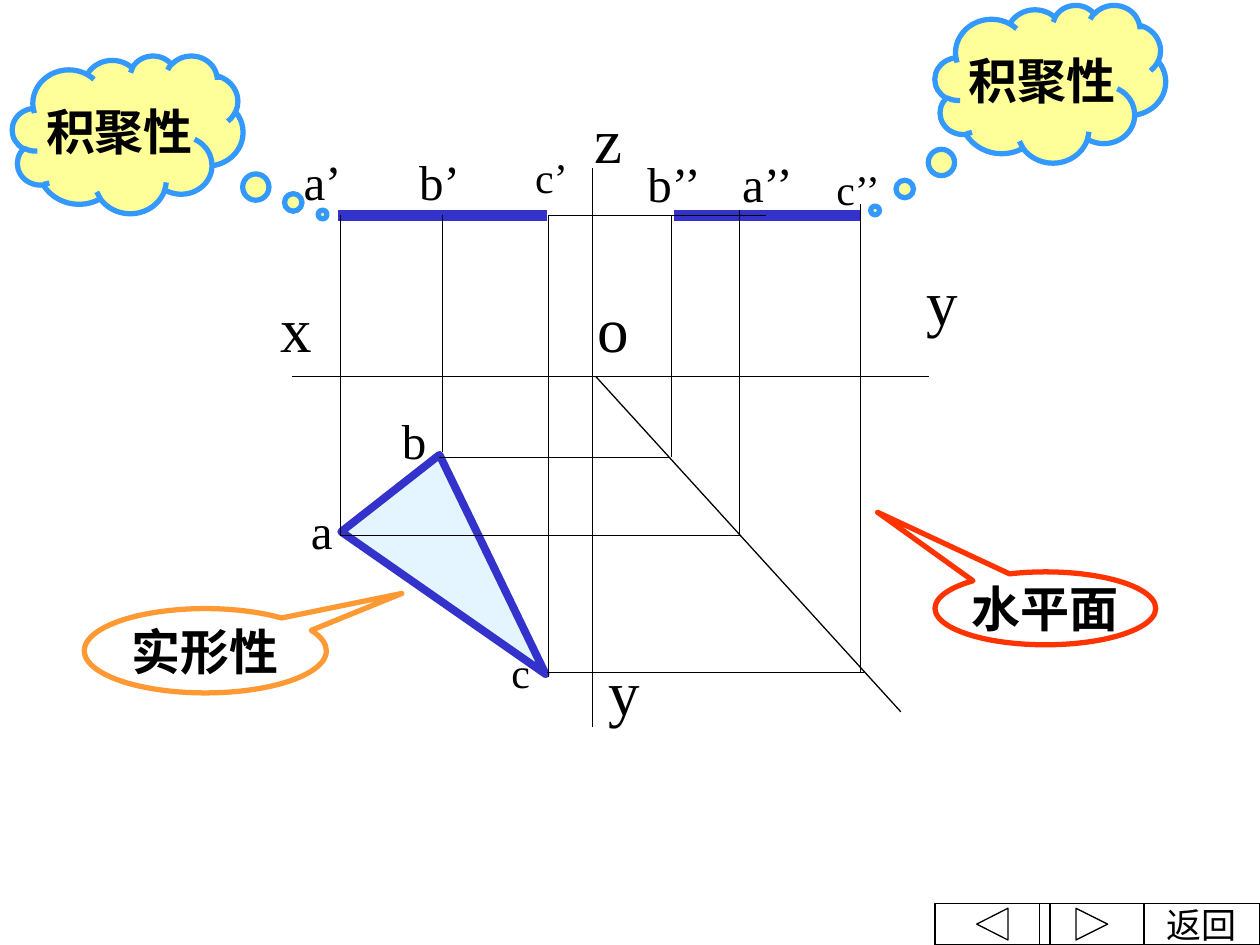
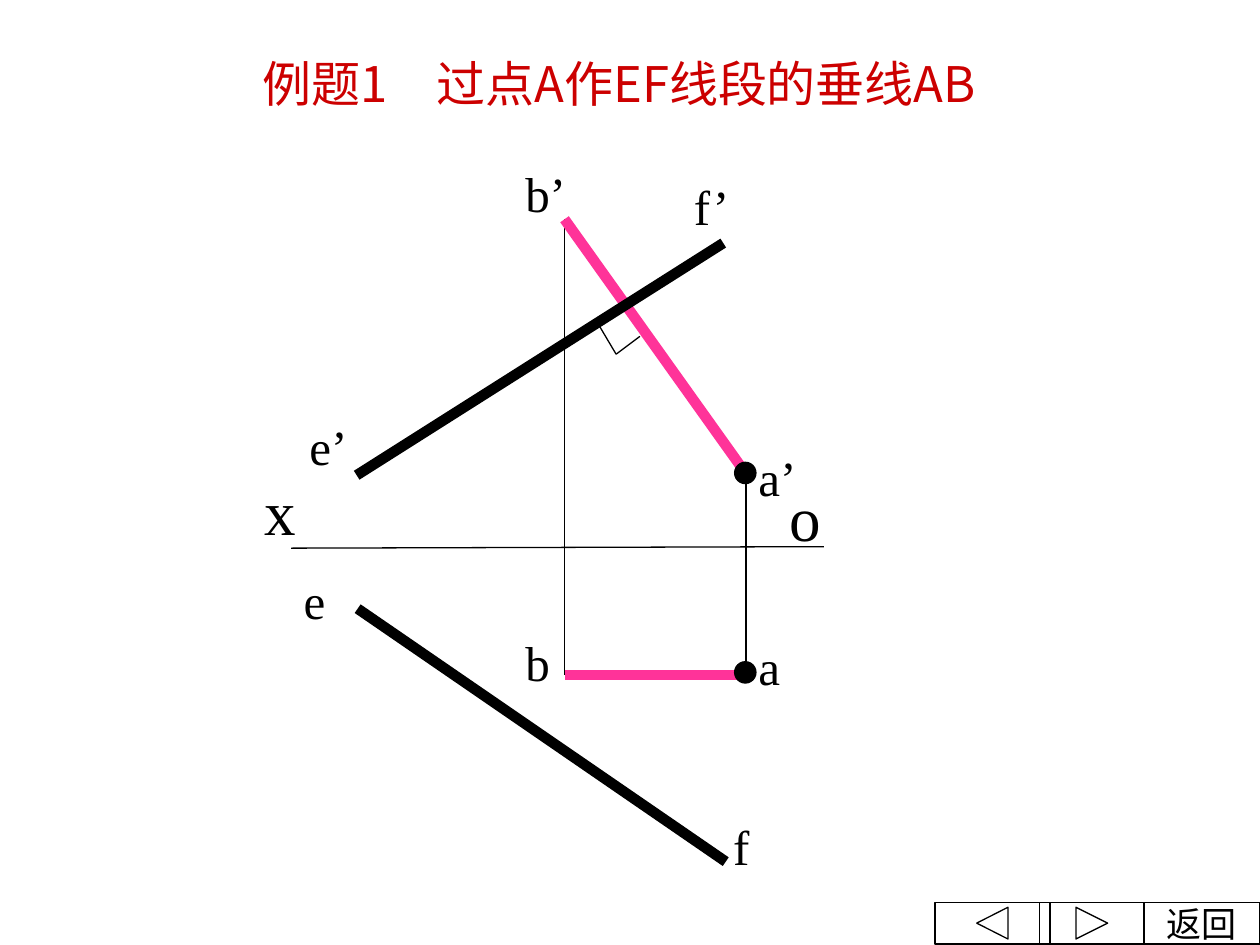
from lxml.etree import SubElement
from pptx import Presentation
from pptx.dml.color import RGBColor
from pptx.enum.shapes import MSO_CONNECTOR, MSO_SHAPE
from pptx.enum.text import MSO_ANCHOR, MSO_AUTO_SIZE, PP_ALIGN
from pptx.oxml.ns import qn
from pptx.util import Cm, Pt

BLACK, WHITE, RED = "000000", "FFFFFF", "CC0000"
BLUE, PALE_BLUE, PINK = "3333CC", "CCECFF", "FF3399"
YELLOW, SKY, ORANGE, SCARLET = "FFFF99", "3399FF", "FF9933", "FF3300"
THIN, CALLOUT, EDGE, THICK = 0.75, 3, 4.5, 6
AXIS, POINT, SMALL = 36, 28, 24
LABEL_HEIGHT = {AXIS: 1.78, POINT: 1.45, SMALL: 1.27}


def color(value):
    return RGBColor.from_string(value)


class Drawing:
    latin = "Times New Roman"
    chinese = "Noto Sans CJK JP"

    def __init__(self, deck):
        self.deck = deck
        self.slide = None

    def new_slide(self):
        self.slide = self.deck.slides.add_slide(self.deck.slide_layouts[6])

    def styled_run(self, paragraph, text, size, ink=BLACK, bold=False, face=None):
        run = paragraph.add_run()
        run.text = text
        run.font.size = Pt(size)
        run.font.bold = bold
        run.font.name = face or self.latin
        run.font.color.rgb = color(ink)
        SubElement(run.font._element, qn("a:ea")).set("typeface", self.chinese)

    def paint(self, shape, fill, ink, width):
        shape.shadow.inherit = False
        if fill:
            shape.fill.solid()
            shape.fill.fore_color.rgb = color(fill)
        else:
            shape.fill.background()
        shape.line.color.rgb = color(ink)
        shape.line.width = Pt(width)

    def caption(self, shape, text, size, bold=False):
        frame = shape.text_frame
        frame.word_wrap = False
        frame.vertical_anchor = MSO_ANCHOR.MIDDLE
        frame.margin_left = frame.margin_right = Cm(0.25)
        frame.margin_top = frame.margin_bottom = Cm(0.13)
        frame.paragraphs[0].alignment = PP_ALIGN.CENTER
        self.styled_run(frame.paragraphs[0], text, size, bold=bold)

    def text_box(self, left, top, width, height):
        box = self.slide.shapes.add_textbox(Cm(left), Cm(top), Cm(width), Cm(height))
        box.text_frame.word_wrap = True
        return box.text_frame

    def title(self, text):
        frame = self.text_box(2.54, 1.09, 19.89, 1.42)
        heading = frame.paragraphs[0]
        heading.alignment = PP_ALIGN.CENTER
        heading.line_spacing = 0.9
        self.styled_run(heading, text, 28, RED, face=self.chinese)

    def label(self, text, left, top, width, size=POINT):
        frame = self.text_box(left, top, width, LABEL_HEIGHT[size])
        frame.auto_size = MSO_AUTO_SIZE.SHAPE_TO_FIT_TEXT
        self.styled_run(frame.paragraphs[0], text, size)

    def line(self, x1, y1, x2, y2, ink=BLACK, width=THIN):
        segment = self.slide.shapes.add_connector(
            MSO_CONNECTOR.STRAIGHT, Cm(x1), Cm(y1), Cm(x2), Cm(y2))
        segment.line.color.rgb = color(ink)
        segment.line.width = Pt(width)
        SubElement(segment._element.spPr, qn("a:effectLst"))

    def shape(self, kind, left, top, width, height, fill, ink, weight):
        shape = self.slide.shapes.add_shape(kind, Cm(left), Cm(top), Cm(width), Cm(height))
        self.paint(shape, fill, ink, weight)
        return shape

    def callout(self, kind, text, place, tip, fill, ink):
        bubble = self.shape(kind, *place, fill, ink, CALLOUT)
        bubble.adjustments[0], bubble.adjustments[1] = tip
        self.caption(bubble, text, 28, bold=True)

    def outline(self, contours, fill=None, ink=BLACK, width=THIN):
        scaled = [[(Cm(x), Cm(y)) for x, y in contour] for contour in contours]
        builder = self.slide.shapes.build_freeform(*scaled[0][0], scale=1.0)
        builder.add_line_segments(scaled[0][1:], close=True)
        for contour in scaled[1:]:
            builder.move_to(*contour[0])
            builder.add_line_segments(contour[1:], close=True)
        shape = builder.convert_to_shape()
        self.paint(shape, fill, ink, width)
        return shape

    def button(self, left, top, width, arrow=()):
        right, bottom = left + width, top + 0.84
        frame = [(left, top), (right, top), (right, bottom), (left, bottom)]
        arrow = [(x, top + drop) for x, drop in arrow]
        return self.outline([frame, arrow] if arrow else [frame])

    def navigation(self, top):
        self.caption(self.button(23.06, top, 2.34), "返回", 20)
        self.button(18.85, top, 2.32, [(19.69, 0.42), (20.32, 0.1), (20.32, 0.74)])
        self.button(20.96, top, 2.1, [(21.69, 0.1), (22.33, 0.42), (21.69, 0.74)])


def horizontal_plane(drawing):
    drawing.new_slide()
    top, b_level, a_level, c_level = 4.34, 9.22, 10.8, 13.56
    axes = [(11.94, 14.66, 11.94, 3.38), (12.01, 7.59, 18.16, 14.35),
            (18.72, 7.59, 5.89, 7.59)]
    for axis in axes:
        drawing.line(*axis)

    triangle = drawing.outline([[(8.86, 9.17), (6.88, 10.72), (11, 13.59)]],
                               PALE_BLUE, BLUE, EDGE)
    tint = triangle._element.spPr.find(qn("a:solidFill"))[0]
    SubElement(tint, qn("a:alpha")).set("val", "50000")

    for start, end in [(11.02, 6.81), (13.59, 17.35)]:
        drawing.line(start, top, end, top, BLUE, THICK)

    verticals = [(6.86, top, a_level), (8.92, 9.12, top), (11.05, top, 13.64),
                 (13.54, top, b_level), (14.91, a_level, 4.24), (17.35, c_level, 4.11)]
    for x, start, end in verticals:
        drawing.line(x, start, x, end)
    horizontals = [(top, 11.05, 15.44), (b_level, 13.49, 8.84),
                   (a_level, 6.88, 14.91), (c_level, 17.42, 11.02)]
    for y, start, end in horizontals:
        drawing.line(start, y, end, y)

    labels = [
        ("z", 11.73, 1.9, 2.49, AXIS), ("y", 18.42, 5.16, 2.44, AXIS),
        ("x", 5.41, 5.72, 1.04, AXIS), ("o", 11.79, 5.72, 1.04, AXIS),
        ("y", 12.01, 13.03, 2.44, AXIS),
        ("a’", 5.87, 2.92, 2.79), ("b’", 8.2, 2.92, 2.79), ("c’", 10.54, 2.92, 1.47, SMALL),
        ("b’’", 12.8, 2.97, 1.7), ("a’’", 14.71, 2.97, 2.34), ("c’’", 16.61, 3.18, 2.21, SMALL),
        ("b", 7.85, 8.15, 2.79), ("a", 6.02, 9.96, 2.79), ("c", 10.06, 12.9, 1.47, SMALL),
    ]
    for label in labels:
        drawing.label(*label)

    cloud, ellipse = MSO_SHAPE.CLOUD_CALLOUT, MSO_SHAPE.OVAL_CALLOUT
    callouts = [
        (cloud, "积聚性", (0.25, 1.12, 4.65, 3.18), (0.845, 0.508), YELLOW, SKY),
        (cloud, "积聚性", (18.85, 0.1, 4.65, 3.18), (-0.76, 0.803), YELLOW, SKY),
        (ellipse, "实形性", (1.7, 12.27, 4.88, 1.7), (0.812, -0.68), WHITE, ORANGE),
        (ellipse, "水平面", (18.85, 11.53, 4.45, 1.47), (-0.76, -1.318), WHITE, SCARLET),
    ]
    for callout in callouts:
        drawing.callout(*callout)
    drawing.navigation(18.21)


def perpendicular_example(drawing):
    drawing.new_slide()
    drawing.title("例题1　过点A作EF线段的垂线AB")
    a_x, b_x, plan_y = 15.04, 11.38, 13.61
    lines = [
        (a_x, 9.63, a_x, plan_y),
        (a_x, plan_y, b_x, plan_y, PINK, THICK),
        (b_x, 4.42, b_x, plan_y),
        (15.11, 9.65, b_x, 4.42, PINK, THICK),
        (12.07, 6.55, 12.42, 7.14),
        (12.42, 7.14, 12.9, 6.78),
        (14.58, 4.9, 7.19, 9.58, BLACK, THICK),
        (7.21, 12.27, 14.63, 17.37, BLACK, THICK),
        (16.61, 11.02, 5.87, 11.05),
    ]
    for line in lines:
        drawing.line(*line)

    labels = [
        ("b", 10.34, 12.62, 1.83), ("b’", 10.34, 3.18, 1.83),
        ("a’", a_x, 8.89, 1.83), ("a", a_x, 12.7, 1.57),
        ("e’", 5.99, 8.28, 1.85), ("e", 5.87, 11.38, 2.31),
        ("f’", 13.74, 3.43, 3.4), ("f", 14.53, 16.33, 2.51),
        ("o", 15.67, 9.53, 2.46, AXIS), ("x", 5.08, 9.4, 3.05, AXIS),
    ]
    for label in labels:
        drawing.label(*label)

    for point_y in (9.32, 13.34):
        drawing.shape(MSO_SHAPE.OVAL, 14.81, point_y, 0.43, 0.43, BLACK, BLACK, THIN)
    drawing.navigation(18.19)


def main():
    deck = Presentation()
    deck.slide_width, deck.slide_height = Cm(25.4), Cm(19.05)
    drawing = Drawing(deck)
    horizontal_plane(drawing)
    perpendicular_example(drawing)
    deck.save("out.pptx")


if __name__ == "__main__":
    main()
